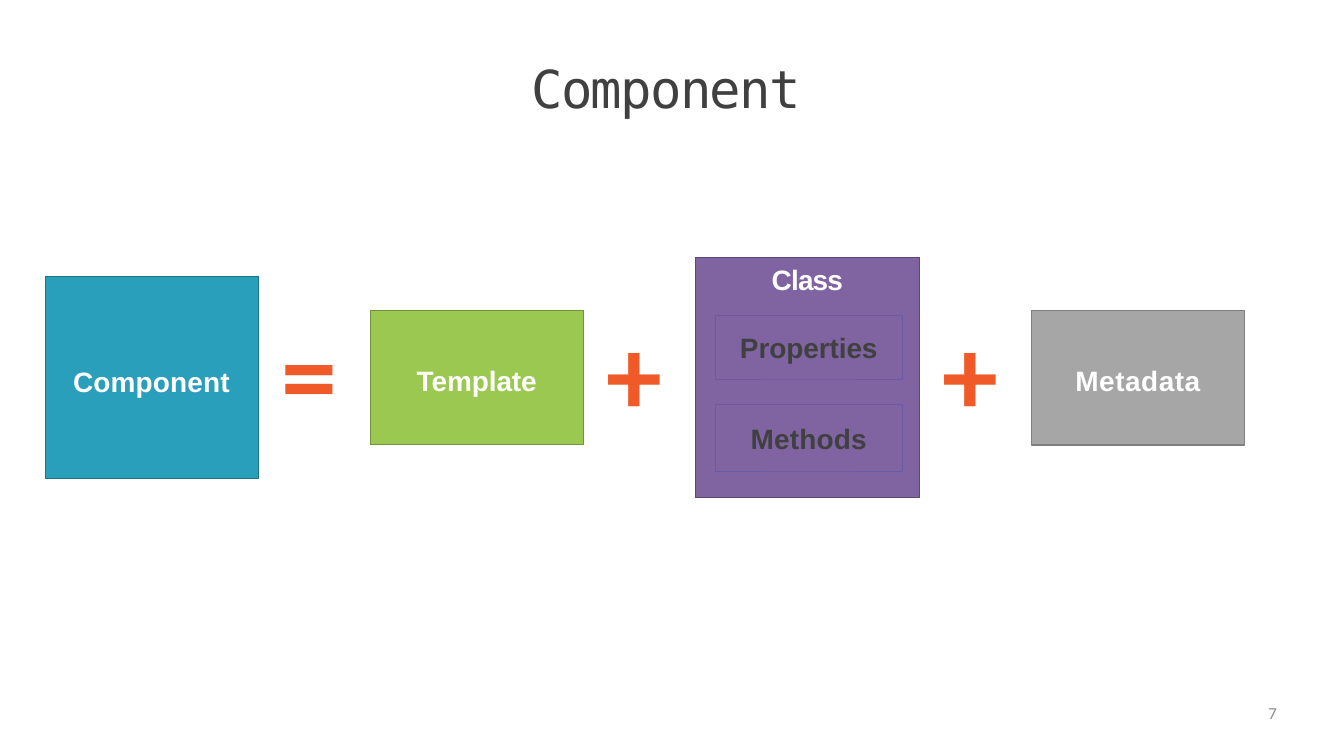
import pptx
import pptx.dml.color
import pptx.enum.shapes
import pptx.enum.text
import pptx.util

Inches, Pt = pptx.util.Inches, pptx.util.Pt
ALIGN, ANCHOR = pptx.enum.text.PP_ALIGN, pptx.enum.text.MSO_ANCHOR

# Content: label, (left, top, width, height), fill, line, line width,
# text colour, letter spacing, top inset, anchor
BLOCKS = [
    ("Component", (0.67, 4.12, 3.17, 3), "2A9FBC", "1C7489", 1, "FFFFFF", 0.2, 0.1, ANCHOR.MIDDLE),
    ("Template", (5.51, 4.62, 3.17, 2), "9BC850", "719238", 1, "FFFFFF", -0.1, 0.08, ANCHOR.MIDDLE),
    ("Class", (10.35, 3.83, 3.33, 3.58), "8064A2", "5C4776", 1, "FFFFFF", -0.9, 0.07, ANCHOR.TOP),
    ("Properties", (10.64, 4.69, 2.79, 0.95), None, "675BA7", 0.5, "404040", -0.1, 0.02, ANCHOR.MIDDLE),
    ("Methods", (10.64, 6.01, 2.79, 1), None, "675BA7", 0.5, "404040", 0.2, 0.02, ANCHOR.MIDDLE),
    ("Metadata", (15.35, 4.62, 3.17, 2), "A6A6A6", "7F7F7F", 2, "FFFFFF", 0.6, 0.08, ANCHOR.MIDDLE),
]
# Sign, left edge, letter spacing
OPERATORS = [("=", 4.18, 0.4), ("+", 9.01, 1.1), ("+", 14.02, 1.1)]


def rgb(value):
    return pptx.dml.color.RGBColor.from_string(value)


def write(shape, text, font, size, color, bold=False, spacing=0,
          align=ALIGN.LEFT, anchor=ANCHOR.TOP, inset=(0, 0)):
    frame = shape.text_frame
    frame.word_wrap = True
    frame.vertical_anchor = anchor
    frame.margin_left, frame.margin_top = map(Inches, inset)
    frame.margin_right = frame.margin_bottom = 0
    frame.text = text
    paragraph = frame.paragraphs[0]
    paragraph.alignment = align
    run = paragraph.runs[0]
    run.font.name, run.font.size, run.font.bold = font, Pt(size), bold
    run.font.color.rgb = rgb(color)
    if spacing:
        run.font._element.set("spc", str(round(spacing * 100)))


def add_text(box, *args, **kwargs):
    write(slide.shapes.add_textbox(*map(Inches, box)), *args, **kwargs)


def add_block(label, box, fill, line, line_width, color, spacing, top_inset, anchor):
    block = slide.shapes.add_shape(
        pptx.enum.shapes.MSO_SHAPE.RECTANGLE, *map(Inches, box))
    block.shadow.inherit = False
    if fill:
        block.fill.solid()
        block.fill.fore_color.rgb = rgb(fill)
    else:
        block.fill.background()
    block.line.color.rgb = rgb(line)
    block.line.width = Pt(line_width)
    write(block, label, "Arial", 30, color, True, spacing,
          ALIGN.CENTER, anchor, (0, top_inset))


deck = pptx.Presentation()
deck.slide_width, deck.slide_height = Inches(20), Inches(11.25)
slide = deck.slides.add_slide(deck.slide_layouts[6])

# Title
add_text((7.9, 0.82, 4.2, 0.96), "Component", "DejaVu Sans Mono", 56, "404040",
         spacing=-1.9, inset=(0.01, 0.02))

# Equation: blocks joined by signs
for block_spec in BLOCKS:
    add_block(*block_spec)
for sign, left, spacing in OPERATORS:
    add_text((left, 4.5, 0.92, 2.03), sign, "Calibri", 120, "F05A28", True,
             spacing, inset=(0.01, 0.02))

# Page number
add_text((14.4, 10.46, 4.6, 0.56), "7", "Calibri", 18, "8C8C8C", align=ALIGN.RIGHT)

deck.save("out.pptx")
